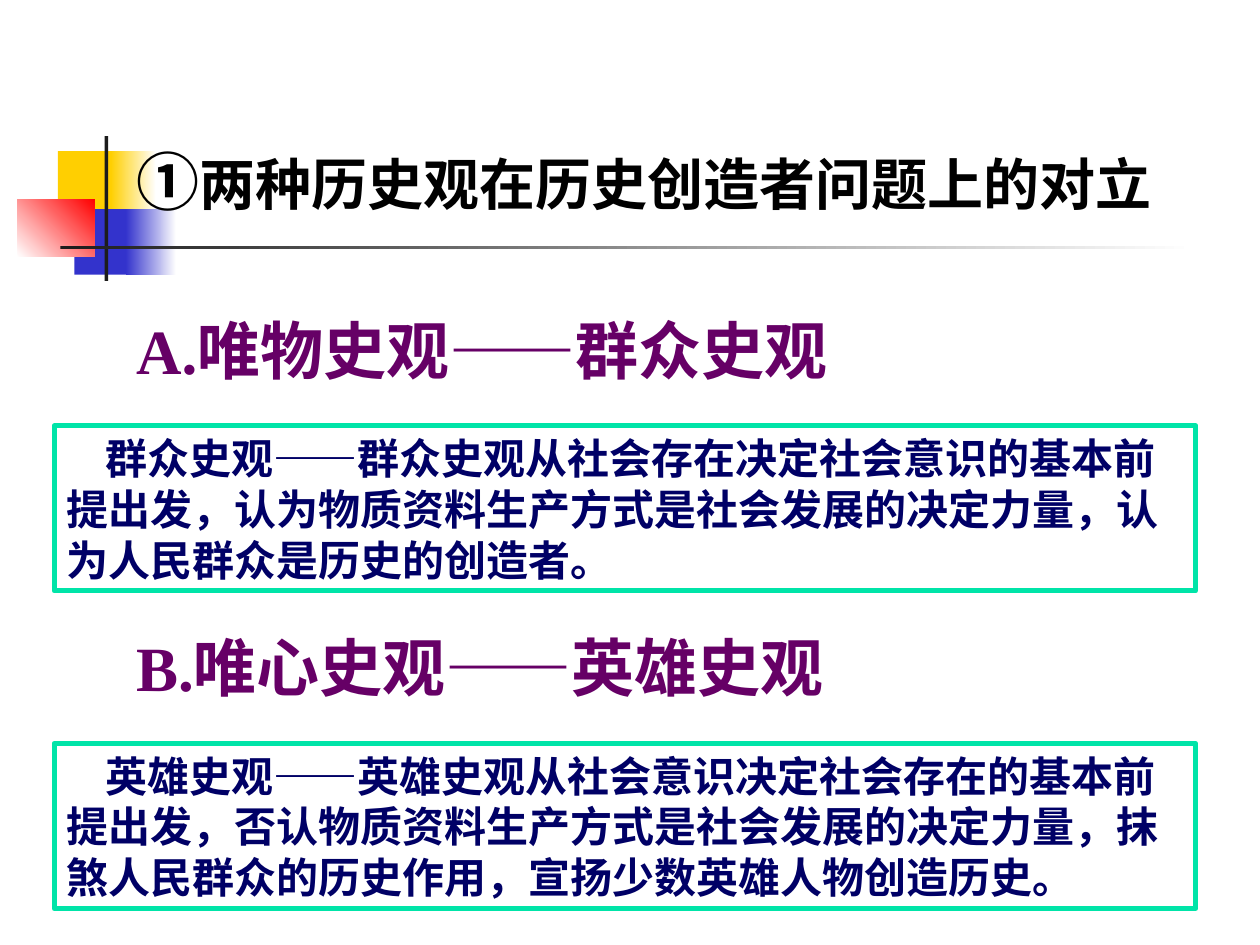
from pptx import Presentation
from pptx.dml.color import RGBColor
from pptx.enum.shapes import MSO_SHAPE
from pptx.enum.text import MSO_ANCHOR, MSO_AUTO_SIZE, PP_ALIGN
from pptx.oxml.ns import qn
from pptx.util import Inches, Pt
from lxml.etree import SubElement

COLORS = {
    "yellow": "FFCF01", "blue": "3333CC", "red": "FF0000", "dark": "1C1C1C",
    "white": "FFFFFF", "black": "000000", "purple": "660066",
    "navy": "000066", "mint": "00E4A8",
}
CJK = "Noto Sans CJK SC"
TITLE = [("①", 36, CJK), ("两种历史观在历史创造者问题上的对立", 32, CJK)]
VIEWS = [
    (2.41, "A.", "唯物史观——群众史观",
     "群众史观——群众史观从社会存在决定社会意识的基本前提出发，认为物质资料生产方式是"
     "社会发展的决定力量，认为人民群众是历史的创造者。"),
    (4.93, "B.", "唯心史观——英雄史观",
     "英雄史观——英雄史观从社会意识决定社会存在的基本前提出发，否认物质资料生产方式是"
     "社会发展的决定力量，抹煞人民群众的历史作用，宣扬少数英雄人物创造历史。"),
]


def rgb(name):
    """Return the named colour."""
    return RGBColor.from_string(COLORS[name])


def set_values(target, values):
    """Set attributes of target from a dict."""
    for name, value in values.items():
        setattr(target, name, value)


def add_block(page, box, start, end=None, angle=0):
    """Draw a rectangle with a plain fill, or a gradient when end is given."""
    block = page.shapes.add_shape(MSO_SHAPE.RECTANGLE, *map(Inches, box))
    block.shadow.inherit = False
    block.line.fill.background()
    if end is None:
        block.fill.solid()
        block.fill.fore_color.rgb = rgb(start)
        return
    block.fill.gradient()
    block.fill.gradient_angle = angle
    for stop, color, position in zip(block.fill.gradient_stops, (start, end), (0, 1)):
        set_values(stop, {"position": position})
        stop.color.rgb = rgb(color)


def add_ornament(page, left, top):
    """Draw the coloured squares and crossing bars from a top left corner."""
    for x, y, width, height, *paint in [
        (0.32, 0.12, 0.48, 0.52, "yellow"),
        (0.74, 0.12, 0.36, 0.52, "yellow", "white"),
        (0.45, 0.58, 0.46, 0.52, "blue"),
        (0.86, 0.58, 0.4, 0.52, "blue", "white"),
        (0, 0.5, 0.61, 0.46, "white", "red", 45),
        (0.69, 0, 0.03, 1.15, "dark"),
        (0.34, 0.87, 9, 0.03, "dark", "white"),
    ]:
        add_block(page, (left + x, top + y, width, height), *paint)


def place_text(holder, box, spans, color, pitch, indent=0):
    """Move a placeholder to the front, place it and fill it with one paragraph."""
    holder._element.getparent().append(holder._element)
    set_values(holder, dict(zip(("left", "top", "width", "height"), map(Inches, box))))
    frame = holder.text_frame
    set_values(frame, {"word_wrap": True, "auto_size": MSO_AUTO_SIZE.NONE,
                       "vertical_anchor": MSO_ANCHOR.TOP})
    para = frame.paragraphs[0]
    set_values(para, {"alignment": PP_ALIGN.LEFT, "line_spacing": Pt(pitch),
                      "space_before": Pt(0)})
    layout = para._p.get_or_add_pPr()
    layout.set("marL", "0")
    layout.set("indent", str(Inches(indent)))
    SubElement(layout, qn("a:buNone"))
    for text, size, font in spans:
        span = para.add_run()
        span.text = text
        set_values(span.font, {"size": Pt(size), "bold": True, "name": font})
        span.font.color.rgb = rgb(color)
        SubElement(span._r.get_or_add_rPr(), qn("a:ea"), typeface=CJK)


def add_view(heading, body, top, letter, name, text):
    """Fill a heading and the framed explanation below it."""
    spans = [(letter, 36, "Times New Roman"), (name, 36, "Arial")]
    place_text(heading, (0.98, top, 9.02, 0.71), spans, "purple", 44)
    place_text(body, (0.43, top + 0.97, 9.06, 1.31), [(text, 24, CJK)], "navy", 29, 0.31)
    body.line.color.rgb = rgb("mint")
    body.line.width = Pt(3)


def main():
    """Build and save the slide."""
    deck = Presentation()
    set_values(deck, {"slide_width": Inches(10), "slide_height": Inches(7.5)})
    page = deck.slides.add_slide(deck.slide_layouts[4])
    title, *holders = page.placeholders
    add_ornament(page, 0.14, 1.08)
    place_text(title, (0.98, 1.07, 9.02, 0.71), TITLE, "black", 44)
    for heading, body, view in zip(holders[::2], holders[1::2], VIEWS):
        add_view(heading, body, *view)
    deck.save("out.pptx")


if __name__ == "__main__":
    main()
